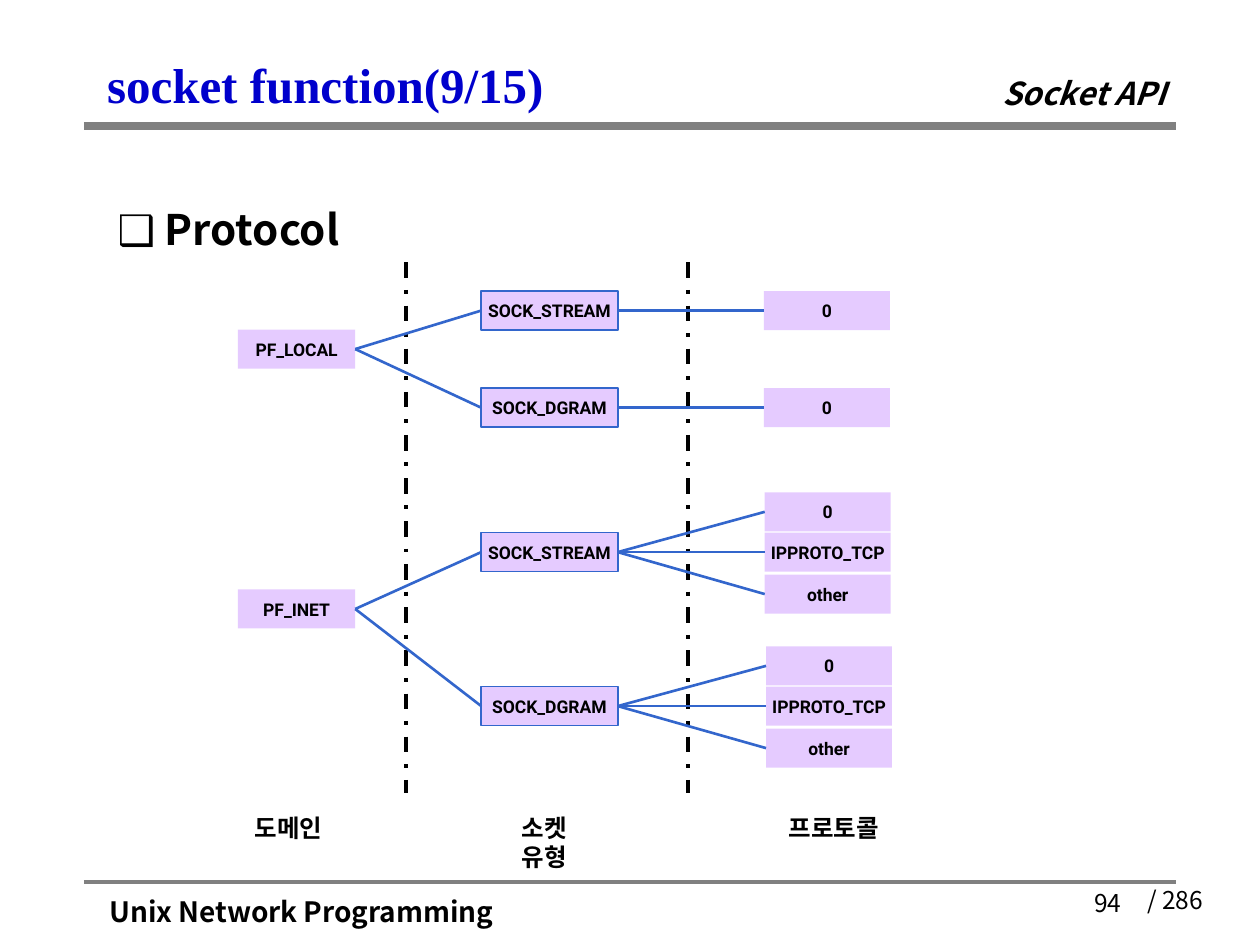
from lxml.etree import SubElement
from pptx import Presentation
from pptx.dml.color import RGBColor
from pptx.enum.dml import MSO_LINE
from pptx.enum.shapes import MSO_CONNECTOR, MSO_SHAPE
from pptx.enum.text import MSO_ANCHOR, MSO_AUTO_SIZE, PP_ALIGN
from pptx.oxml.ns import qn
from pptx.util import Pt

SANS, LABEL, SERIF = "Noto Sans CJK KR", "Roboto", "Times New Roman"
INK, GREY, BLUE, LILAC, NAVY = "000000", "808080", "3366CC", "CC99FF", "0000CC"
HIGH = 22.3
TRIO = [("0", -23), ("IPPROTO_TCP", 0), ("other", 24)]
TREE = [
    ("PF_LOCAL", 199.5, [
        ("SOCK_STREAM", 177.5, 436.5, [("0", 0)]),
        ("SOCK_DGRAM", 233, 436.5, [("0", 0)]),
    ]),
    ("PF_INET", 348, [
        ("SOCK_STREAM", 315.5, 437, TRIO),
        ("SOCK_DGRAM", 403.5, 437.75, TRIO),
    ]),
]


def tint(color, code):
    """Set a colour format from a hex string."""
    color.rgb = RGBColor.from_string(code)


def style(para, size, face=SANS, code=INK, bold=True, slant=False, align=PP_ALIGN.LEFT):
    """Format a whole paragraph, with the same face for Korean text."""
    para.alignment = align
    font = para.font
    font.size, font.name, font.bold, font.italic = Pt(size), face, bold, slant
    tint(font.color, code)
    mark = para._p.pPr.find(qn("a:defRPr"))
    SubElement(mark, qn("a:ea"), typeface=face)


def place(shape, left, top, width, height):
    """Move and size a shape in points."""
    shape.left, shape.top = Pt(left), Pt(top)
    shape.width, shape.height = Pt(width), Pt(height)


def line(slide, start, end, code, width, dash=None):
    """Draw a straight line between two points."""
    link = slide.shapes.add_connector(
        MSO_CONNECTOR.STRAIGHT, *[Pt(n) for n in (*start, *end)])
    tint(link.line.color, code)
    link.line.width = Pt(width)
    if dash:
        link.line.dash_style = dash
    SubElement(link._element.spPr, qn("a:effectLst"))


def note(slide, text, area, size, wrap=False, **look):
    """Add a line of free text."""
    box = slide.shapes.add_textbox(*[Pt(n) for n in area])
    frame = box.text_frame
    frame.text = text
    frame.word_wrap = wrap
    if not wrap:
        frame.auto_size = MSO_AUTO_SIZE.SHAPE_TO_FIT_TEXT
    style(frame.paragraphs[0], size, **look)


def node(slide, text, left, mid, width, edge=False):
    """Add a half-clear label box centred on a height."""
    box = slide.shapes.add_shape(
        MSO_SHAPE.RECTANGLE, Pt(left), Pt(mid - HIGH / 2), Pt(width), Pt(HIGH))
    box.shadow.inherit = False
    box.fill.solid()
    tint(box.fill.fore_color, LILAC)
    shade = box._element.spPr.find(qn("a:solidFill")).find(qn("a:srgbClr"))
    SubElement(shade, qn("a:alpha"), val="50000")
    if edge:
        tint(box.line.color, BLUE)
        box.line.width = Pt(1)
    else:
        box.line.fill.background()
    frame = box.text_frame
    frame.text = text
    frame.word_wrap = False
    frame.vertical_anchor = MSO_ANCHOR.MIDDLE
    style(frame.paragraphs[0], 10, LABEL, align=PP_ALIGN.CENTER)


def heads(slide):
    """Fill the title and body placeholders."""
    title, body = slide.placeholders
    place(title, 54, 24, 612, 48)
    title.text_frame.text = "socket function(9/15)"
    title.text_frame.vertical_anchor = MSO_ANCHOR.MIDDLE
    style(title.text_frame.paragraphs[0], 28, SERIF, NAVY)
    place(body, 60, 114, 612, 372)
    body.text_frame.text = "Protocol"
    para = body.text_frame.paragraphs[0]
    para.space_before, para.line_spacing = Pt(0), 0.99
    props = para._p.get_or_add_pPr()
    props.set("marL", str(Pt(27)))
    props.set("indent", str(Pt(-27)))
    SubElement(props, qn("a:buChar"), char="❑")
    style(para, 24)


def frame(slide):
    """Add the rules and the running texts."""
    line(slide, (48, 504), (672, 504), GREY, 2.25)
    line(slide, (48, 72), (672, 72), GREY, 4.5)
    note(slide, "Unix Network Programming", (55.5, 507.5, 240.5, 26.5), 16)
    note(slide, "/ 286", (648.5, 502, 47.5, 24.5), 14, bold=False)
    note(slide, "94", (498, 504, 150, 36), 14, wrap=True, bold=False, align=PP_ALIGN.RIGHT)
    note(slide, "Socket API", (565.5, 39, 109.5, 29), 18, slant=True)


def tree(slide):
    """Draw domains, socket types and protocols with their links."""
    for x in (232, 393):
        line(slide, (x, 150), (x, 453), INK, 2.25, MSO_LINE.DASH_DOT)
    for name, root, kinds in TREE:
        node(slide, name, 136, root, 67)
        for kind, mid, left, leaves in kinds:
            node(slide, kind, 275, mid, 78, edge=True)
            line(slide, (203, root), (275, mid), BLUE, 1.5)
            for leaf, shift in leaves:
                node(slide, leaf, left, mid + shift, 72)
                line(slide, (353, mid), (left, mid + shift), BLUE, 1.5)
    for text, left in (("도메인", 131.5), ("소켓 유형", 277.5), ("프로토콜", 443)):
        note(slide, text, (left, 461, 67, 28), 14, align=PP_ALIGN.CENTER)


def main():
    """Build and save the slide."""
    deck = Presentation()
    deck.slide_width, deck.slide_height = Pt(720), Pt(540)
    slide = deck.slides.add_slide(deck.slide_layouts[1])
    heads(slide)
    frame(slide)
    tree(slide)
    deck.save("out.pptx")


if __name__ == "__main__":
    main()
